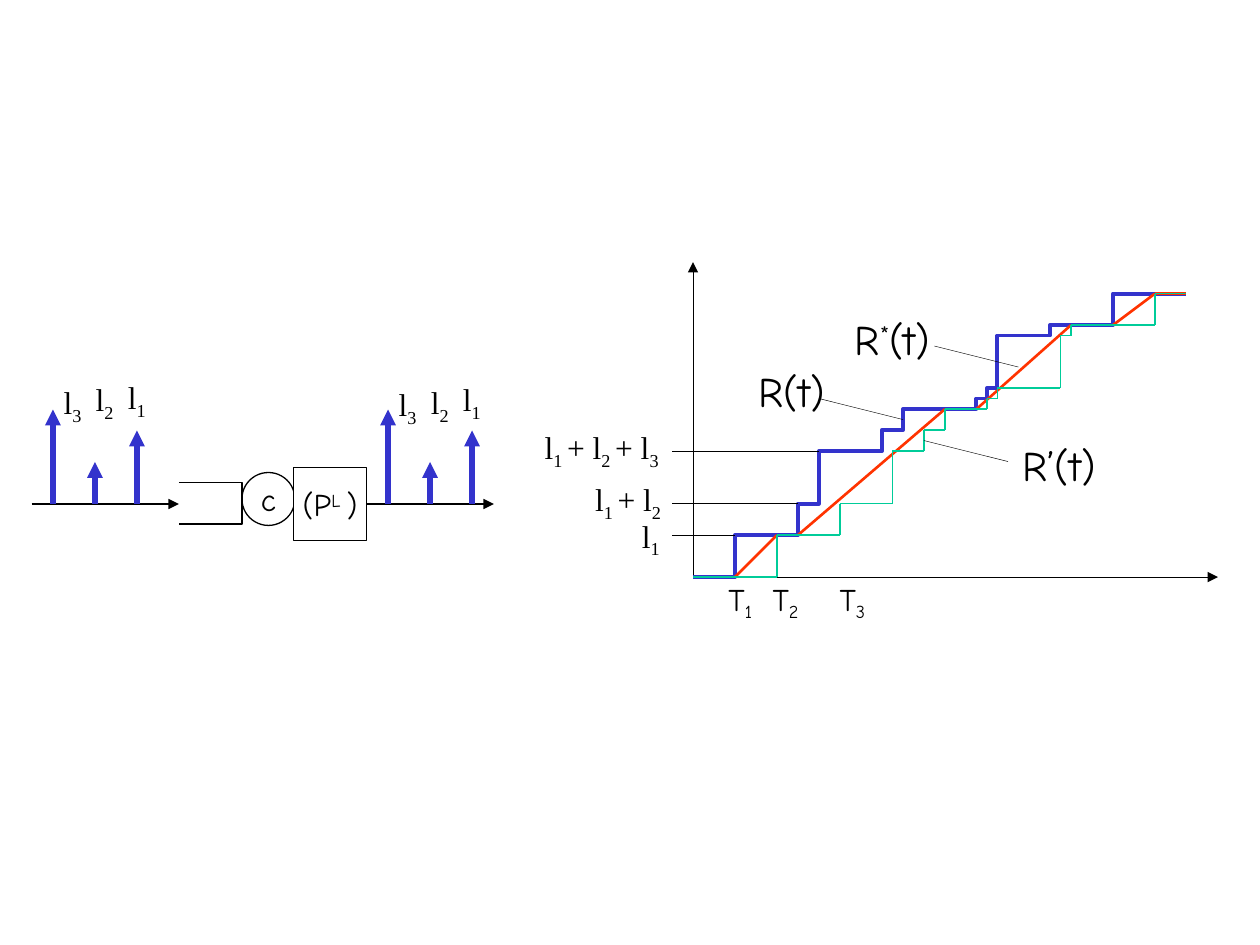
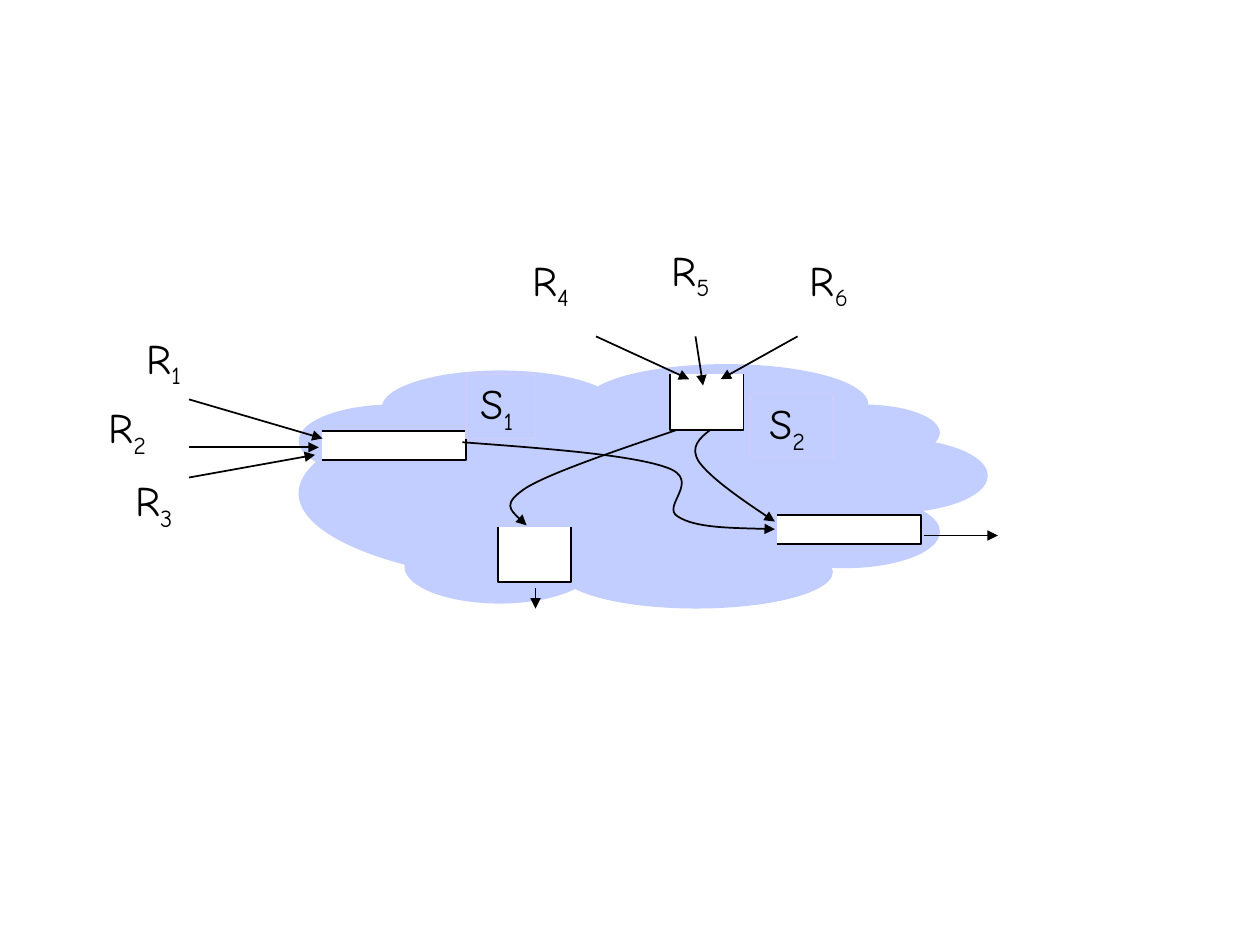
from itertools import pairwise
from typing import NamedTuple

from lxml.etree import SubElement
from pptx import Presentation
from pptx.dml.color import RGBColor
from pptx.enum.shapes import MSO_CONNECTOR, MSO_SHAPE
from pptx.enum.text import MSO_ANCHOR, MSO_AUTO_SIZE, PP_ALIGN
from pptx.oxml.ns import qn
from pptx.util import Inches, Pt

COLORS = {
    "black": "000000",
    "white": "FFFFFF",
    "arrivals": "3333CC",
    "fluid": "FF3300",
    "packetized": "00CC99",
    "cloud": "C1CEFF",
    "frame": "CCCCFF",
}
SANS = "Comic Neue"
SERIF = "Times New Roman"
STEP = 1 / 12
ORIGIN = (5.5, 4.58)

Point = tuple[float, float]


class Box(NamedTuple):
    left: float
    top: float
    width: float
    height: float


class Label(NamedTuple):
    text: str
    box: Box
    size: float = 18
    font: str = SANS
    shift: int = -25


class Stream(NamedTuple):
    left: float
    label_top: float


class Queue(NamedTuple):
    box: Box
    open_top: bool


def color(name: str) -> RGBColor:
    return RGBColor.from_string(COLORS[name])


def style_line(shape, name: str, width: float, arrow: bool = False) -> None:
    shape.line.color.rgb = color(name)
    shape.line.width = Pt(width)
    if arrow:
        outline = shape.element.spPr.find(qn("a:ln"))
        SubElement(outline, qn("a:tailEnd"), type="triangle")


def style_fill(shape, name: str | None) -> None:
    shape.shadow.inherit = False
    if name:
        shape.fill.solid()
        shape.fill.fore_color.rgb = color(name)
    else:
        shape.fill.background()


def add_line(page, start: Point, end: Point, name: str = "black",
             width: float = 1, arrow: bool = False):
    line = page.shapes.add_connector(
        MSO_CONNECTOR.STRAIGHT, *(Inches(value) for value in (*start, *end)))
    style_line(line, name, width, arrow)
    SubElement(line.element.spPr, qn("a:effectLst"))
    return line


def add_box(page, box: Box, kind=MSO_SHAPE.RECTANGLE, fill: str | None = None,
            line: str | None = None, width: float = 1):
    shape = page.shapes.add_shape(kind, *map(Inches, box))
    style_fill(shape, fill)
    if line:
        style_line(shape, line, width)
    else:
        shape.line.fill.background()
    return shape


def add_outline(page, points: list[Point], name: str = "black", width: float = 1,
                fill: str | None = None, arrow: bool = False):
    start, *others = [(Inches(x), Inches(y)) for x, y in points]
    builder = page.shapes.build_freeform(*start)
    builder.add_line_segments(others, close=False)
    shape = builder.convert_to_shape()
    style_fill(shape, fill)
    style_line(shape, name, width, arrow)
    return shape


def add_curve(page, points: list[Point]) -> None:
    shape = add_outline(page, points, arrow=True)
    segments = list(shape.element.iter(qn("a:lnTo")))
    for first, second, third in zip(*[iter(segments)] * 3):
        first.tag = qn("a:cubicBezTo")
        for segment in (second, third):
            first.append(segment[0])
            segment.getparent().remove(segment)


def write_text(shape, text: str, *, size: float = 18, font: str = SANS,
               shift: int = -25, wrap: bool = False, grow: bool = True,
               anchor=MSO_ANCHOR.MIDDLE) -> None:
    frame = shape.text_frame
    frame.word_wrap = wrap
    frame.auto_size = MSO_AUTO_SIZE.SHAPE_TO_FIT_TEXT if grow else MSO_AUTO_SIZE.NONE
    frame.vertical_anchor = anchor
    para = frame.paragraphs[0]
    para.alignment = PP_ALIGN.CENTER
    for index, part in enumerate(text.split("~")):
        span = para.add_run()
        span.text = part
        span.font.size = Pt(size)
        span.font.name = font
        span.font.color.rgb = color("black")
        if index % 2:
            span.font._element.set("baseline", str(shift * 1000))


def add_label(page, label: Label, anchor=MSO_ANCHOR.MIDDLE) -> None:
    shape = page.shapes.add_textbox(*map(Inches, label.box))
    write_text(shape, label.text, size=label.size, font=label.font,
               shift=label.shift, anchor=anchor)


def add_queue(page, queue: Queue) -> None:
    left, top, width, height = queue.box
    right, bottom = left + width, top + height
    if queue.open_top:
        points = [(right, top), (right, bottom), (left, bottom), (left, top)]
    else:
        points = [(left, top), (right, top), (right, bottom), (left, bottom)]
    add_outline(page, points, fill="white")


def plot(x: float, y: float) -> Point:
    return ORIGIN[0] + x * STEP, ORIGIN[1] - y * STEP


def staircase(steps: list[Point], end: float) -> list[Point]:
    points, level = [plot(0, 0)], 0
    for x, y in steps:
        points += [plot(x, level), plot(x, y)]
        level = y
    return points + [plot(end, level)]


def build_graph(page) -> None:
    for end in ((50, 0), (0, 30)):
        add_line(page, ORIGIN, plot(*end), width=0.25, arrow=True)

    arrivals = [(4, 4), (10, 7), (12, 12), (18, 14), (20, 16), (27, 17),
                (28, 18), (29, 23), (34, 24), (40, 27)]
    add_outline(page, staircase(arrivals, 47), "arrivals", 2.25)

    fluid = [(0, 0), (4, 0), (8, 4), (10, 4), (24, 16), (27, 16),
             (36, 24), (40, 24), (44, 27), (47, 27)]
    for start, end in pairwise(fluid):
        add_line(page, plot(*start), plot(*end), "fluid", 1.5)

    packetized = [(8, 4), (14, 7), (19, 12), (22, 14), (24, 16), (28, 17),
                  (29, 18), (35, 23), (36, 24), (44, 27)]
    for start, end in pairwise(staircase(packetized, 47)):
        add_line(page, start, end, "packetized", 0.75)

    leaders = [((23, 22), (31, 20)), ((12, 17), (20, 15)), ((22, 13), (30, 11))]
    levels = [((x, y), (-2, y)) for x, y in arrivals[:3]]
    for start, end in leaders + levels:
        add_line(page, plot(*start), plot(*end), width=0.25)

    for label in (
        Label("R(t)", Box(5.88, 2.85, 0.81, 0.5), 24),
        Label("R’(t)", Box(7.97, 3.44, 0.87, 0.5), 24),
        Label("R~*~(t)", Box(6.62, 2.44, 0.93, 0.5), 24, shift=30),
        Label("T~1", Box(5.65, 4.57, 0.45, 0.4)),
        Label("T~2", Box(6, 4.57, 0.47, 0.4)),
        Label("T~3", Box(6.53, 4.57, 0.47, 0.4)),
        Label("l~1 ~+ l~2 ~+ l~3", Box(4.2, 3.37, 1.15, 0.4), font=SERIF),
        Label("l~1 ~+ l~2", Box(4.61, 3.78, 0.75, 0.4), font=SERIF),
        Label("l~1", Box(4.99, 4.07, 0.35, 0.4), font=SERIF),
    ):
        add_label(page, label)


def build_server(page) -> None:
    add_queue(page, Queue(Box(1.42, 3.83, 0.5, 0.33), False))
    add_line(page, (0.25, 4), (1.42, 4), width=0.75, arrow=True)
    server = add_box(page, Box(1.92, 3.75, 0.42, 0.42), MSO_SHAPE.OVAL,
                     line="black", width=0.75)
    write_text(server, "c", grow=False)
    packetizer = add_box(page, Box(2.33, 3.71, 0.58, 0.58), fill="white",
                         line="black", width=0.75)
    write_text(packetizer, "(P~L ~)", shift=30, grow=False)
    output = add_line(page, (2.92, 4), (3.92, 4), width=0.75, arrow=True)
    output.begin_connect(packetizer, 3)

    for stream in (Stream(0.42, 2.99), Stream(3.08, 3.01)):
        for index, length in enumerate((9, 4, 7)):
            x = stream.left + index / 3
            add_line(page, (x, 4), (x, 4 - length * STEP), "arrivals", 3, True)
            box = Box(stream.left - 0.02 + 0.255 * index,
                      stream.label_top - 0.02 * index, 0.35, 0.4)
            add_label(page, Label(f"l~{3 - index}", box, font=SERIF), MSO_ANCHOR.TOP)


def build_network(page) -> None:
    flow_places = [(1.02, 2.61), (0.73, 3.16), (0.94, 3.74),
                   (4.09, 1.99), (5.2, 1.91), (6.3, 1.99)]
    for number, place in enumerate(flow_places, 1):
        flow = add_box(page, Box(*place, 0.56, 0.51), fill="white", line="white")
        write_text(flow, f"R~{number}", size=24)

    for puff in (
        Box(2.37, 3.17, 4.8, 1.49), Box(4.63, 2.89, 2.26, 0.63),
        Box(6.23, 3.21, 1.23, 0.45), Box(6.33, 3.48, 1.51, 0.59),
        Box(5.95, 3.93, 1.51, 0.58), Box(3.21, 4.2, 1.51, 0.59),
        Box(4.44, 4.25, 2.17, 0.58), Box(2.37, 3.21, 1.51, 0.58),
        Box(3.03, 2.94, 1.88, 0.59),
    ):
        add_box(page, puff, MSO_SHAPE.OVAL, fill="cloud")

    for queue in (
        Queue(Box(2.56, 3.42, 1.14, 0.23), False),
        Queue(Box(6.17, 4.09, 1.14, 0.23), False),
        Queue(Box(5.32, 2.97, 0.58, 0.44), True),
        Queue(Box(3.95, 4.18, 0.58, 0.44), True),
    ):
        add_queue(page, queue)

    for start, end in (
        ((1.5, 3.17), (2.56, 3.48)),
        ((1.5, 3.55), (2.53, 3.55)),
        ((1.5, 3.79), (2.5, 3.61)),
        ((5.52, 2.67), (5.58, 3.06)),
        ((6.33, 2.67), (5.72, 3.01)),
        ((4.73, 2.67), (5.47, 3.01)),
        ((7.33, 4.25), (7.92, 4.25)),
        ((4.25, 4.67), (4.25, 4.83)),
    ):
        add_line(page, start, end, arrow=True)

    for route in (
        [(3.67, 3.51), (4.34, 3.56), (5.01, 3.61), (5.29, 3.71), (5.58, 3.81),
         (5.24, 4.02), (5.38, 4.1), (5.52, 4.19), (5.84, 4.19), (6.15, 4.2)],
        [(5.64, 3.41), (5.55, 3.48), (5.47, 3.55), (5.55, 3.67), (5.64, 3.79),
         (5.89, 3.97), (6.15, 4.14)],
        [(5.38, 3.41), (4.88, 3.58), (4.38, 3.75), (4.18, 3.87), (3.98, 4),
         (4.08, 4.08), (4.18, 4.17)],
    ):
        add_curve(page, route)

    for label in (Label("S~1 ", Box(3.7, 2.97, 0.55, 0.51), 24),
                  Label("S~2 ", Box(5.95, 3.13, 0.66, 0.51), 24)):
        node = add_box(page, label.box, line="frame")
        write_text(node, label.text, size=label.size, wrap=True)


def main() -> None:
    deck = Presentation()
    deck.slide_width, deck.slide_height = Inches(10), Inches(7.5)
    blank = deck.slide_layouts[6]
    packet_page = deck.slides.add_slide(blank)
    build_graph(packet_page)
    build_server(packet_page)
    build_network(deck.slides.add_slide(blank))
    deck.save("out.pptx")


if __name__ == "__main__":
    main()
